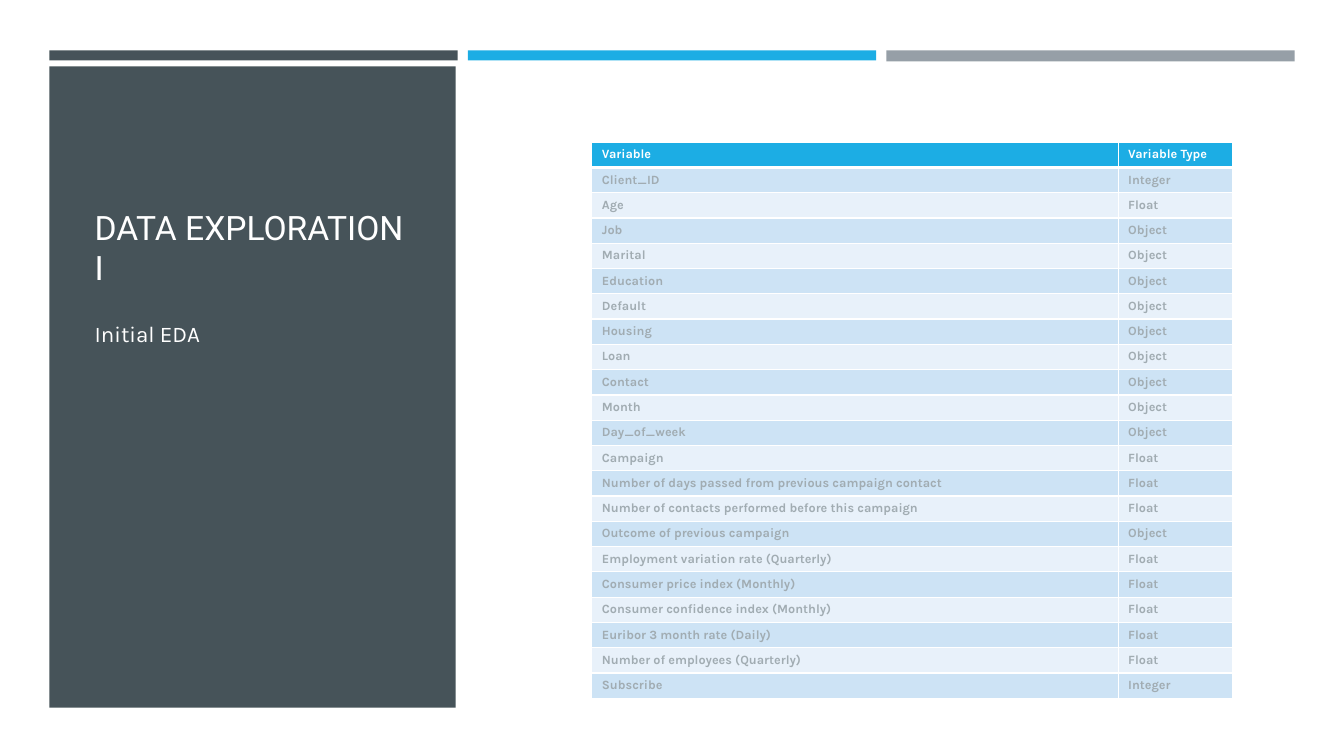
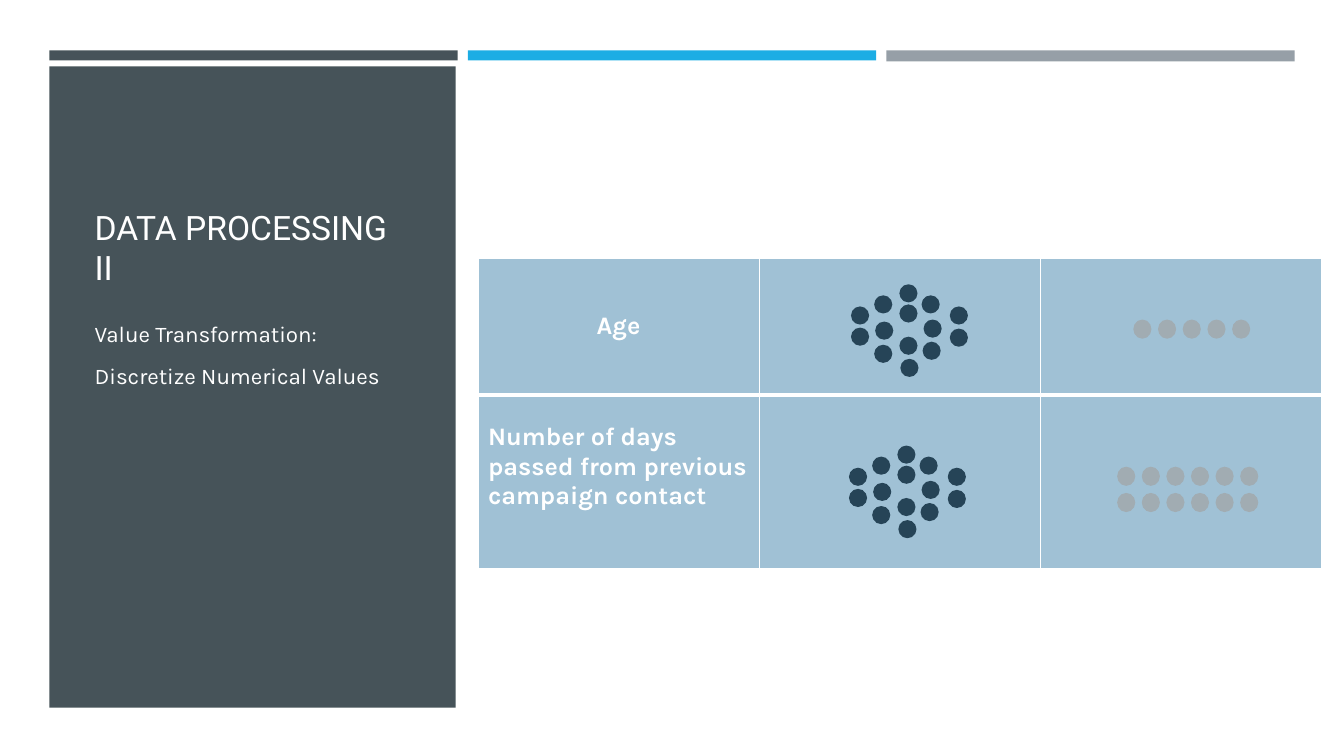
from dataclasses import dataclass

from lxml import etree
from pptx import Presentation
from pptx.dml.color import RGBColor
from pptx.enum.shapes import MSO_SHAPE
from pptx.enum.text import MSO_ANCHOR, PP_ALIGN
from pptx.oxml.ns import qn
from pptx.util import Emu, Pt

RECT, OVAL = MSO_SHAPE.RECTANGLE, MSO_SHAPE.OVAL
TOP, MID, LOW = MSO_ANCHOR.TOP, MSO_ANCHOR.MIDDLE, MSO_ANCHOR.BOTTOM
LEFT, MIDST = PP_ALIGN.LEFT, PP_ALIGN.CENTER
PX = 9144


@dataclass(frozen=True)
class Theme:
    slate: str = "465359"
    blue: str = "1CADE4"
    grey: str = "969FA7"
    white: str = "FFFFFF"
    mute: str = "A1ACB2"
    bands: tuple = ("CDE3F5", "E8F1FA")
    steel: str = "A0C1D5"
    navy: str = "264457"
    head: str = "Roboto"
    text: str = "Karla"
    title: int = 24
    label: int = 18
    body: int = 16
    small: int = 9
    thin: int = 1
    thick: int = 3


T = Theme()

BARS = [(49, 10, T.slate), (464, 10, T.blue), (879, 11, T.grey)]

EXPLORE = ("DATA EXPLORATION I", ["Initial EDA"])
PROCESS = ("DATA PROCESSING II", ["Value Transformation:", "Discretize Numerical Values"])

FIELDS = [
    ("Variable", "Variable Type"),
    ("Client_ID", "Integer"),
    ("Age", "Float"),
    ("Job", "Object"),
    ("Marital", "Object"),
    ("Education", "Object"),
    ("Default", "Object"),
    ("Housing", "Object"),
    ("Loan", "Object"),
    ("Contact", "Object"),
    ("Month", "Object"),
    ("Day_of_week", "Object"),
    ("Campaign", "Float"),
    ("Number of days passed from previous campaign contact", "Float"),
    ("Number of contacts performed before this campaign", "Float"),
    ("Outcome of previous campaign", "Object"),
    ("Employment variation rate (Quarterly)", "Float"),
    ("Consumer price index (Monthly)", "Float"),
    ("Consumer confidence index (Monthly)", "Float"),
    ("Euribor 3 month rate (Daily)", "Float"),
    ("Number of employees (Quarterly)", "Float"),
    ("Subscribe", "Integer"),
]

VALUES = [
    ("Age", MIDST, 5),
    ("Number of days passed from previous campaign contact", LEFT, 35),
]

CLOUD = [
    (48, 0), (23, 11), (70, 11), (0, 22), (98, 22), (48, 20), (24, 37),
    (72, 35), (0, 43), (98, 44), (48, 52), (71, 57), (23, 60), (49, 74),
]
CLOUDS = [(844, 282), (842, 442)]
BINS = [(1124, 1222, 5, [317]), (1108, 1230, 6, [463, 489])]


def px(*vals):
    return [Emu(round(v * PX)) for v in vals]


def paint(fill, color):
    fill.solid()
    fill.fore_color.rgb = RGBColor.from_string(color)


def write(frame, lines, font=T.text, size=T.body, color=T.white, bold=False,
          align=LEFT, space=1, before=0, after=0):
    frame.word_wrap = True
    for i, line in enumerate(lines):
        para = frame.add_paragraph() if i else frame.paragraphs[0]
        para.alignment, para.line_spacing = align, space
        para.space_before, para.space_after = Pt(before), Pt(after)
        run = para.add_run()
        run.text = line
        run.font.name, run.font.size, run.font.bold = font, Pt(size), bold
        run.font.color.rgb = RGBColor.from_string(color)


def shape(shapes, kind, box, color):
    item = shapes.add_shape(kind, *px(*box))
    item.shadow.inherit = False
    paint(item.fill, color)
    item.line.fill.background()


def box(slide, area, lines, anchor, **form):
    frame = slide.shapes.add_textbox(*px(*area)).text_frame
    frame.vertical_anchor = anchor
    write(frame, lines, **form)


def edge(cell, row):
    props = cell._tc.get_or_add_tcPr()
    wide = {"lnT": row == 1, "lnB": row == 0}
    for side in ("lnL", "lnR", "lnT", "lnB"):
        width = T.thick if wide.get(side) else T.thin
        line = etree.SubElement(props, qn("a:" + side), w=str(Pt(width)))
        fill = etree.SubElement(line, qn("a:solidFill"))
        etree.SubElement(fill, qn("a:srgbClr"), val=T.white)


def grid(slide, left, top, cols, rows, shade):
    area = px(left, top, sum(cols), sum(rows))
    table = slide.shapes.add_table(len(rows), len(cols), *area).table
    table.first_row = table.horz_banding = False
    for col, width in zip(table.columns, px(*cols)):
        col.width = width
    for r, (row, high) in enumerate(zip(table.rows, px(*rows))):
        row.height = high
        for cell in row.cells:
            edge(cell, r)
            paint(cell.fill, shade(r))
    return table


def dots(slide, spots, size, color):
    group = slide.shapes.add_group_shape()
    for x, y in spots:
        shape(group.shapes, OVAL, (x, y, *size), color)


def base(deck, title, lines):
    slide = deck.slides.add_slide(deck.slide_layouts[6])
    for left, high, color in BARS:
        shape(slide.shapes, RECT, (left, 50, 405, high), color)
    shape(slide.shapes, RECT, (49, 66, 403, 636), T.slate)
    box(slide, (84, 102, 332, 188), [title], LOW, font=T.head, size=T.title)
    box(slide, (84, 310, 332, 328), lines, TOP, space=1.1, before=3.2, after=6)
    return slide


def explore(deck):
    slide = base(deck, *EXPLORE)
    table = grid(slide, 587, 141, [522, 114], [24] * len(FIELDS),
                 lambda r: T.bands[(r - 1) % 2] if r else T.blue)
    for r, row in enumerate(FIELDS):
        for c, word in enumerate(row):
            write(table.cell(r, c).text_frame, [word], size=T.small, bold=True,
                  color=T.mute if r else T.white)


def process(deck):
    slide = base(deck, *PROCESS)
    table = grid(slide, 474, 256, [279] * 3, [136, 172], lambda r: T.steel)
    for r, (word, align, foot) in enumerate(VALUES):
        cell = table.cell(r, 0)
        cell.vertical_anchor = MID
        cell.margin_bottom = px(foot)[0]
        write(cell.text_frame, [word], size=T.label, bold=True, align=align)
    for left, top in CLOUDS:
        dots(slide, [(left + x, top + y) for x, y in CLOUD], (18, 18), T.navy)
    for first, last, count, tops in BINS:
        step = (last - first) / (count - 1)
        spots = [(first + i * step, y) for y in tops for i in range(count)]
        dots(slide, spots, (18, 19), T.mute)


def main():
    deck = Presentation()
    deck.slide_width, deck.slide_height = px(1333, 750)
    explore(deck)
    process(deck)
    deck.save("out.pptx")


if __name__ == "__main__":
    main()
